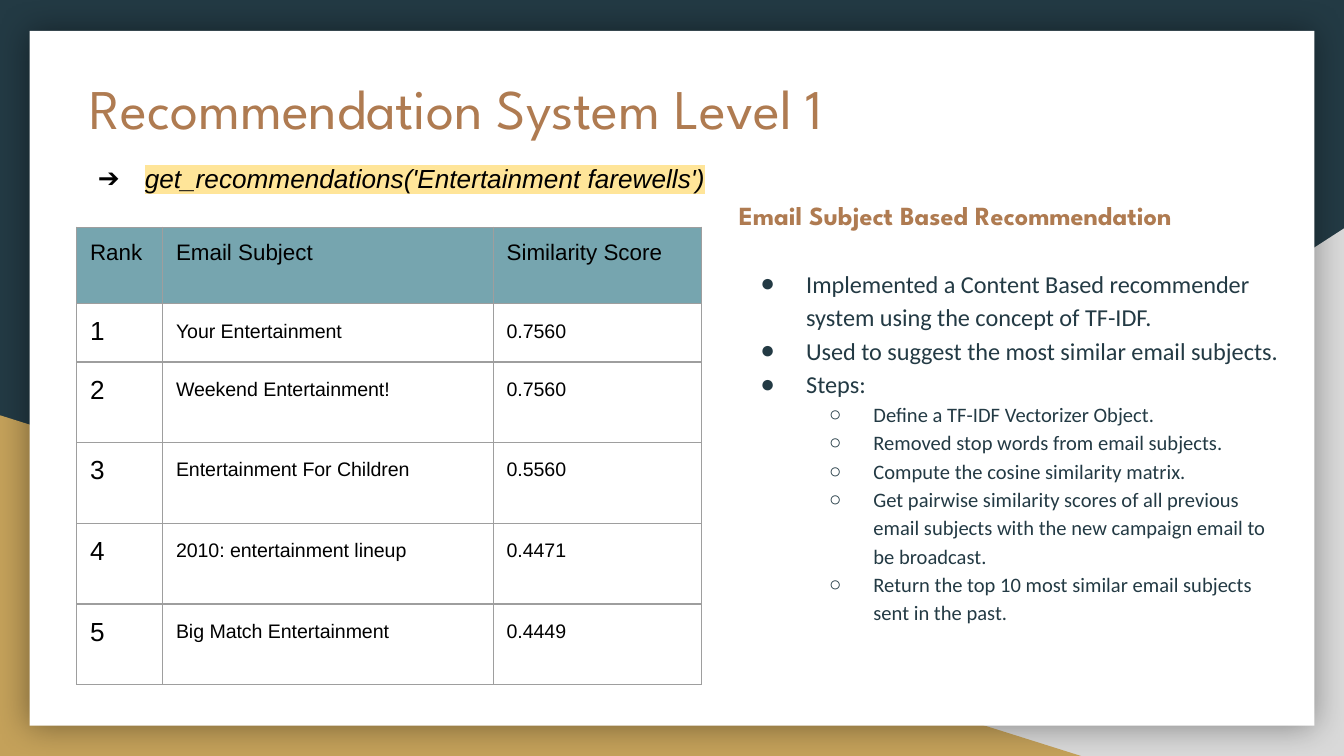
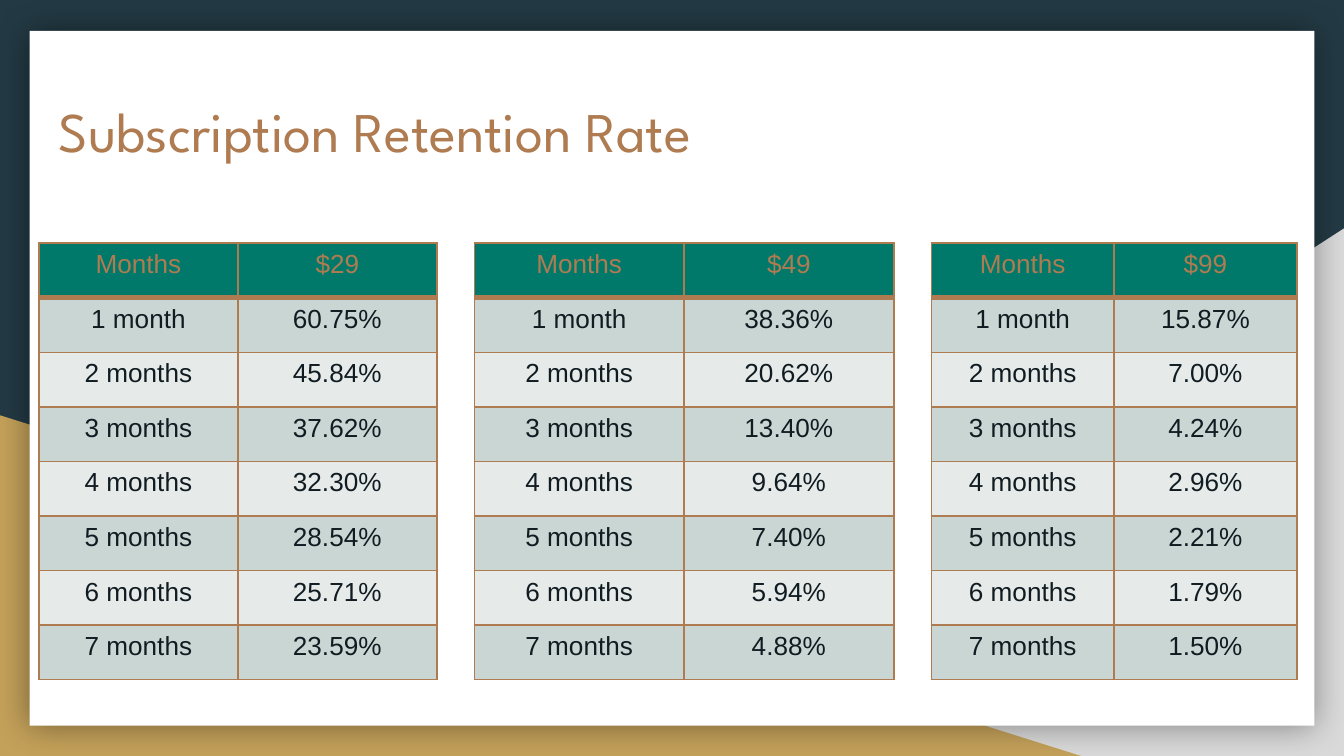
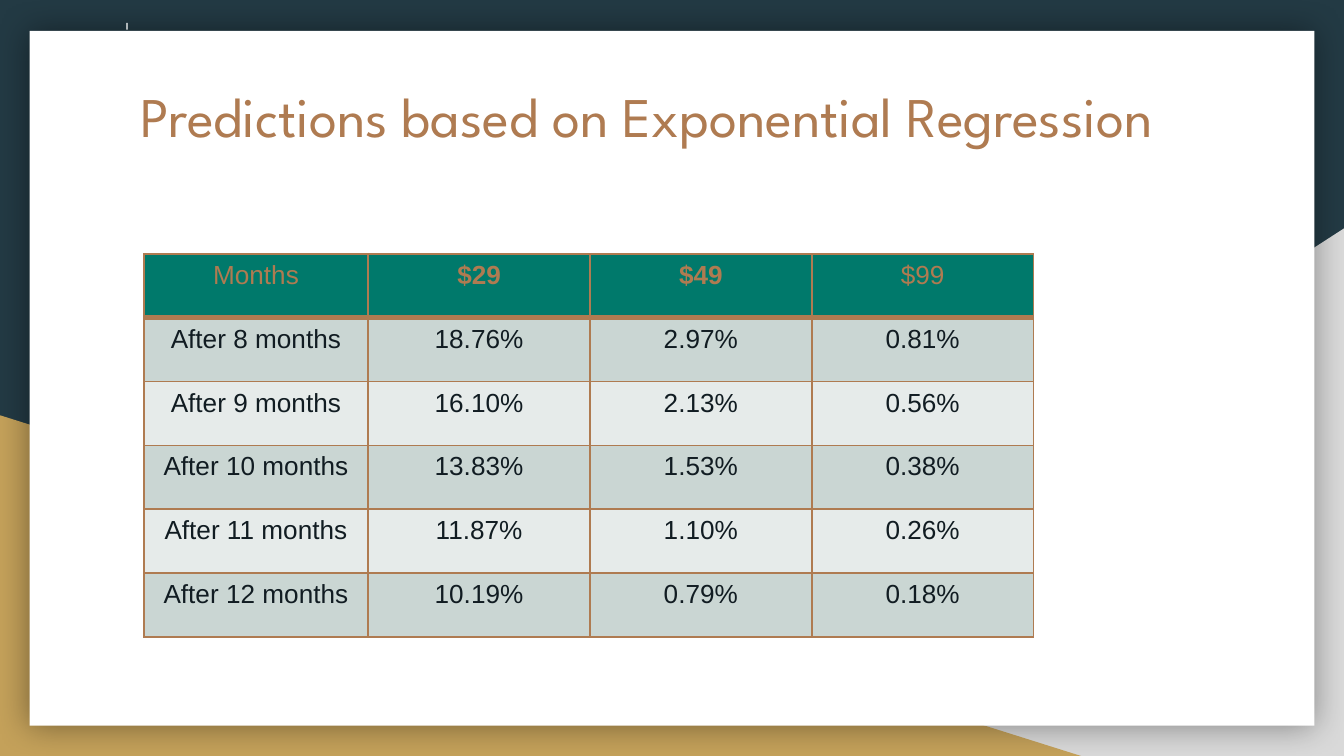
"""Build three slides on email recommendations and subscription retention."""
from lxml import etree
from pptx import Presentation
from pptx.dml import color
from pptx.enum import shapes, text
from pptx.oxml import ns
from pptx.util import Inches, Pt

NAVY, GOLD, GREY, WHITE, BLACK = "233A44", "C4A15A", "D9D9D9", "FFFFFF", "000000"
COPPER, TEAL, GREEN, INK = "AF7B51", "76A5AF", "00796B", "111C22"
BORDER, HIGHLIGHT = "9E9E9E", "FFE599"
BANDS = ("CAD6D3", "E6EBEA")
TITLE_FONT, BODY_FONT, TABLE_FONT = "League Spartan", "Calibri", "Arial"

RECOMMENDATIONS = [
    ("Rank", "Email Subject", "Similarity Score"),
    ("1", "Your Entertainment", "0.7560"),
    ("2", "Weekend Entertainment!", "0.7560"),
    ("3", "Entertainment For Children", "0.5560"),
    ("4", "2010: entertainment lineup", "0.4471"),
    ("5", "Big Match Entertainment", "0.4449"),
]
CALL = "get_recommendations('Entertainment farewells')"
METHOD_HEADING = "Email Subject Based Recommendation"
METHOD = [
    (0, "Implemented a Content Based recommender system using the concept of TF-IDF."),
    (0, "Used to suggest the most similar email subjects."),
    (0, "Steps:"),
    (1, "Define a TF-IDF Vectorizer Object."),
    (1, "Removed stop words from email subjects."),
    (1, "Compute the cosine similarity matrix."),
    (1, "Get pairwise similarity scores of all previous email subjects "
        "with the new campaign email to be broadcast."),
    (1, "Return the top 10 most similar email subjects sent in the past."),
]
METHOD_LEVELS = [("●", 0.5, -0.34, 13), ("○", 1, -0.33, 11)]

RETENTION = [
    ("$29", 2.96, ("60.75%", "45.84%", "37.62%", "32.30%", "28.54%", "25.71%", "23.59%")),
    ("$49", 3.12, ("38.36%", "20.62%", "13.40%", "9.64%", "7.40%", "5.94%", "4.88%")),
    ("$99", 2.72, ("15.87%", "7.00%", "4.24%", "2.96%", "2.21%", "1.79%", "1.50%")),
]
PREDICTIONS = [
    ("Months", "$29", "$49", "$99"),
    ("After 8 months", "18.76%", "2.97%", "0.81%"),
    ("After 9 months", "16.10%", "2.13%", "0.56%"),
    ("After 10 months", "13.83%", "1.53%", "0.38%"),
    ("After 11 months", "11.87%", "1.10%", "0.26%"),
    ("After 12 months", "10.19%", "0.79%", "0.18%"),
]


def rgb(value):
    return color.RGBColor.from_string(value)


def add_child(parent, tag, **attributes):
    return etree.SubElement(parent, ns.qn(tag), attributes)


def add_run(paragraph, words, size, font, ink, bold=False, italic=False):
    run = paragraph.add_run()
    run.text = words
    run.font.size, run.font.name = Pt(size), font
    run.font.bold, run.font.italic = bold, italic
    run.font.color.rgb = rgb(ink)
    return run


def add_highlight(run, fill):
    properties = run.font._element
    highlight = etree.Element(ns.qn("a:highlight"))
    add_child(highlight, "a:srgbClr", val=fill)
    properties.find(ns.qn("a:solidFill")).addnext(highlight)


def add_bullet(paragraph, symbol, left, indent, ink):
    properties = paragraph._p.get_or_add_pPr()
    properties.set("marL", str(Inches(left)))
    properties.set("indent", str(Inches(indent)))
    add_child(add_child(properties, "a:buClr"), "a:srgbClr", val=ink)
    add_child(properties, "a:buFont", typeface="Arial")
    add_child(properties, "a:buChar", char=symbol)


def add_text_frame(slide, *box):
    frame = slide.shapes.add_textbox(*map(Inches, box)).text_frame
    frame.word_wrap = True
    frame.margin_left = frame.margin_right = Inches(0.1)
    frame.margin_top = frame.margin_bottom = Inches(0.1)
    return frame


def add_block(slide, kind, box, fill):
    block = slide.shapes.add_shape(kind, *map(Inches, box))
    block.shadow.inherit = False
    block.fill.solid()
    block.fill.fore_color.rgb = rgb(fill)
    block.line.fill.background()
    return block


def add_slide(presentation, title, *title_box):
    slide = presentation.slides.add_slide(presentation.slide_layouts[6])
    slide.background.fill.solid()
    slide.background.fill.fore_color.rgb = rgb(NAVY)
    triangle = shapes.MSO_SHAPE.RIGHT_TRIANGLE
    right_corner = add_block(slide, triangle, (3.92, 1.7, 6.08, 3.93), GREY)
    right_corner._element.spPr.xfrm.set("flipH", "1")
    add_block(slide, triangle, (0, 3.09, 8.06, 2.54), GOLD)
    card = add_block(slide, shapes.MSO_SHAPE.RECTANGLE, (0.22, 0.23, 9.56, 5.17), WHITE)
    effects = card._element.spPr.find(ns.qn("a:effectLst"))
    shadow = add_child(effects, "a:outerShdw", blurRad=str(Pt(18)), dist="0",
                       algn="ctr", rotWithShape="0")
    shade = add_child(shadow, "a:srgbClr", val=BLACK)
    add_child(shade, "a:alpha", val="40000")
    frame = add_text_frame(slide, *title_box)
    add_run(frame.paragraphs[0], title, 30, TITLE_FONT, COPPER)
    return slide


def set_borders(cell, ink, width, bottom_width):
    properties = cell._tc.get_or_add_tcPr()
    for side in "LRTB":
        points = bottom_width if side == "B" else width
        line = add_child(properties, "a:ln" + side, w=str(Pt(points)))
        add_child(add_child(line, "a:solidFill"), "a:srgbClr", val=ink)


def add_grid(slide, rows, left, top, widths, heights):
    frame = slide.shapes.add_table(
        len(rows), len(widths), Inches(left), Inches(top),
        Inches(sum(widths)), Inches(sum(heights)))
    table = frame.table
    for column, width in zip(table.columns, widths):
        column.width = Inches(width)
    for row, height in zip(table.rows, heights):
        row.height = Inches(height)
    return table


def fill_cell(cell, fill, vertical_margin):
    cell.margin_left = cell.margin_right = Inches(0.1)
    cell.margin_top = cell.margin_bottom = Inches(vertical_margin)
    if fill:
        cell.fill.solid()
        cell.fill.fore_color.rgb = rgb(fill)
    else:
        cell.fill.background()


def add_rate_table(slide, rows, left, top, widths, height, bold_headers=()):
    table = add_grid(slide, rows, left, top, widths, [height / len(rows)] * len(rows))
    for r, row in enumerate(rows):
        header = r == 0
        for c, words in enumerate(row):
            cell = table.cell(r, c)
            set_borders(cell, COPPER, 1, 3 if header else 1)
            if r == 1:
                cell._tc.tcPr.find(ns.qn("a:lnT")).set("w", str(Pt(3)))
            fill_cell(cell, GREEN if header else BANDS[(r - 1) % 2], 0.05)
            paragraph = cell.text_frame.paragraphs[0]
            paragraph.alignment = text.PP_ALIGN.CENTER
            add_run(paragraph, words, 14, TABLE_FONT, COPPER if header else INK,
                    bold=header and words in bold_headers)


def add_ranking(slide):
    table = add_grid(slide, RECOMMENDATIONS, 0.57, 1.69,
                     (0.64, 2.46, 1.55), (0.57, 0.41, 0.6, 0.6, 0.6, 0.6))
    for r, row in enumerate(RECOMMENDATIONS):
        for c, words in enumerate(row):
            cell = table.cell(r, c)
            set_borders(cell, BORDER, 0.75, 0.75)
            fill_cell(cell, None if r else TEAL, 0.1)
            paragraph = cell.text_frame.paragraphs[0]
            if r and c:
                paragraph.line_spacing = 1.15
            size = 12 if r == 0 else 14 if c == 0 else 10.5
            add_run(paragraph, words, size, TABLE_FONT, BLACK)


def add_method(slide):
    frame = add_text_frame(slide, 5.4, 1.35, 4.25, 3.5)
    heading = frame.paragraphs[0]
    heading.line_spacing = 1.15
    heading.space_after = Pt(18)
    add_run(heading, METHOD_HEADING, 14, TITLE_FONT, COPPER, bold=True)
    for level, words in METHOD:
        symbol, left, indent, size = METHOD_LEVELS[level]
        paragraph = frame.add_paragraph()
        paragraph.level = level
        paragraph.line_spacing = 1.15
        add_bullet(paragraph, symbol, left, indent, NAVY)
        add_run(paragraph, words, size, BODY_FONT, NAVY)


def build_recommendation(presentation):
    slide = add_slide(presentation, "Recommendation System Level 1", 0.57, 0.45, 8.21, 0.66)
    add_method(slide)
    add_ranking(slide)
    call = add_text_frame(slide, 0.48, 1.11, 5.16, 0.77).paragraphs[0]
    add_bullet(call, "➔", 0.5, -0.35, BLACK)
    add_highlight(add_run(call, CALL, 14, TABLE_FONT, BLACK, italic=True), HIGHLIGHT)


def build_retention(presentation):
    slide = add_slide(presentation, "Subscription Retention Rate", 0.34, 0.62, 8.21, 1.04)
    left, gap = 0.29, 0.28
    for price, width, rates in RETENTION:
        rows = [("Months", price)]
        for month, rate in enumerate(rates, 1):
            rows.append((f"{month} month" + ("s" if month > 1 else ""), rate))
        add_rate_table(slide, rows, left, 1.81, [width / 2] * 2, 3.25)
        left += width + gap


def build_predictions(presentation):
    slide = add_slide(presentation, "Predictions based on Exponential Regression",
                      0.95, 0.51, 8.21, 1.04)
    add_rate_table(slide, PREDICTIONS, 1.07, 1.89, (1.67, 1.65, 1.65, 1.65), 2.85,
                   bold_headers=("$29", "$49"))
    add_block(slide, shapes.MSO_SHAPE.RECTANGLE, (0.94, 0.17, 0.01, 0.05), WHITE)


def main():
    presentation = Presentation()
    presentation.slide_width = Inches(10)
    presentation.slide_height = Inches(10) * 9 // 16
    build_recommendation(presentation)
    build_retention(presentation)
    build_predictions(presentation)
    presentation.save("out.pptx")


if __name__ == "__main__":
    main()
